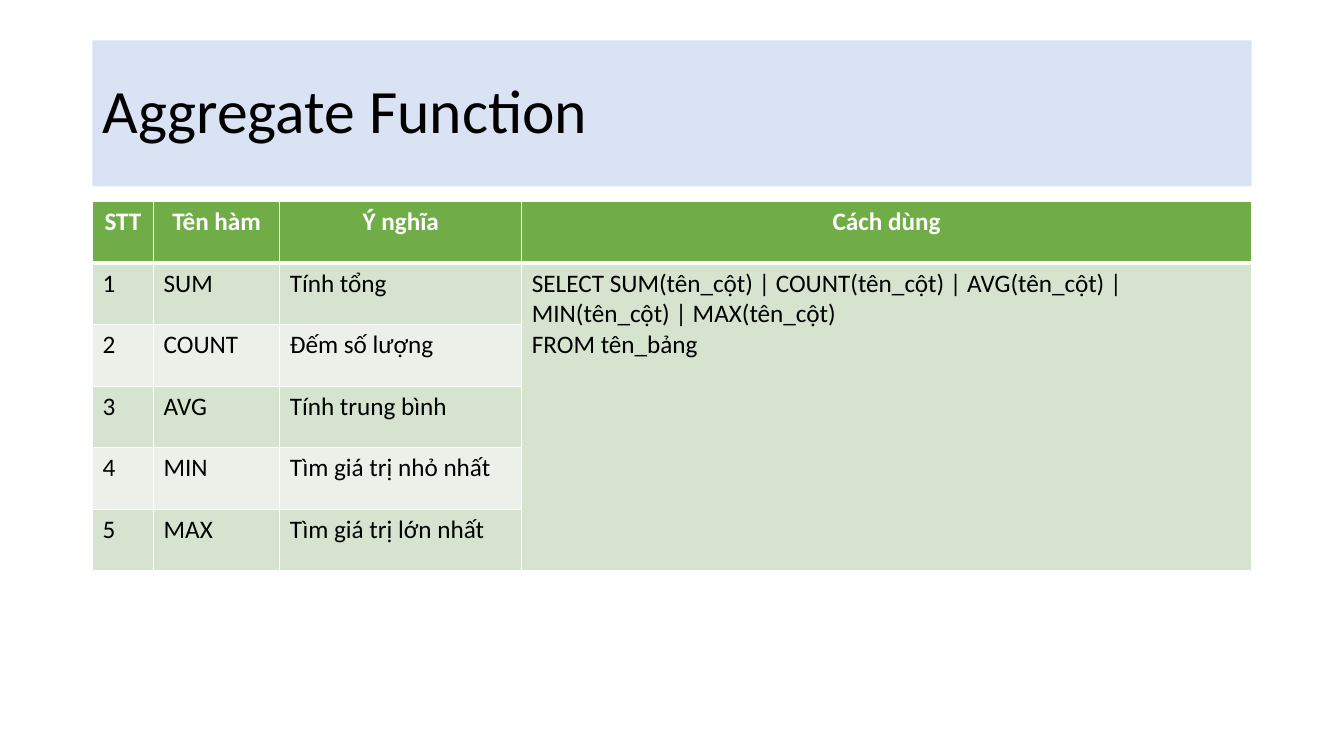
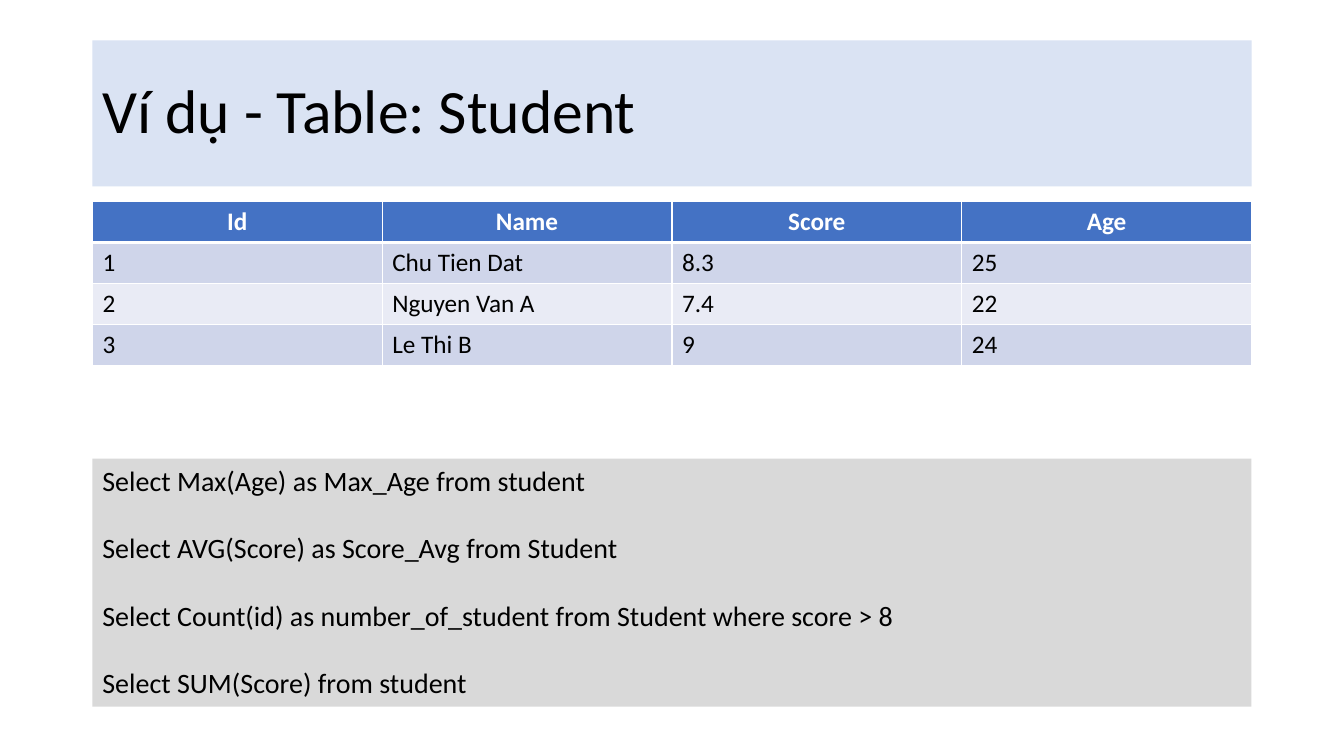
from dataclasses import dataclass

from lxml import etree
from pptx import Presentation
from pptx.dml.color import RGBColor
from pptx.enum import text
from pptx.oxml import ns
from pptx.util import Cm, Pt

FONT = "Calibri"
BLACK = RGBColor(0x00, 0x00, 0x00)
WHITE = RGBColor(0xFF, 0xFF, 0xFF)
TITLE_BAND = RGBColor(0xDA, 0xE3, 0xF3)
CODE_BAND = RGBColor(0xD9, 0xD9, 0xD9)

LEFT, WIDTH = 2.33, 29.21
TITLE_TOP, TITLE_HEIGHT = 1.02, 3.68
TABLE_TOP = 5.08
THIN, THICK = Pt(1), Pt(3)


@dataclass(frozen=True)
class Palette:
    """Fills of a banded table."""
    header: RGBColor
    odd: RGBColor
    even: RGBColor

    def fill(self, row: int) -> RGBColor:
        """Return the fill of a row, the header being row 0."""
        if row == 0:
            return self.header
        return self.odd if row % 2 else self.even


@dataclass(frozen=True)
class Grid:
    """A table: palette, sizes in cm and the text of each row."""
    palette: Palette
    columns: list[float]
    row_height: float
    rows: list[list[str]]


GREEN = Palette(RGBColor(0x70, 0xAD, 0x47), RGBColor(0xD5, 0xE3, 0xCF),
                RGBColor(0xEB, 0xF1, 0xE9))
BLUE = Palette(RGBColor(0x44, 0x72, 0xC4), RGBColor(0xCF, 0xD5, 0xEA),
               RGBColor(0xE9, 0xEB, 0xF5))

USAGE = ("SELECT SUM(tên_cột) | COUNT(tên_cột) | AVG(tên_cột) | "
         "MIN(tên_cột) | MAX(tên_cột)\nFROM tên_bảng")
FUNCTIONS = Grid(GREEN, [1.54, 3.18, 6.1, 18.39], 1.55, [
    ["STT", "Tên hàm", "Ý nghĩa", "Cách dùng"],
    ["1", "SUM", "Tính tổng", USAGE],
    ["2", "COUNT", "Đếm số lượng", ""],
    ["3", "AVG", "Tính trung bình", ""],
    ["4", "MIN", "Tìm giá trị nhỏ nhất", ""],
    ["5", "MAX", "Tìm giá trị lớn nhất", ""],
])
STUDENTS = Grid(BLUE, [WIDTH / 4] * 4, 1.03, [
    ["Id", "Name", "Score", "Age"],
    ["1", "Chu Tien Dat", "8.3", "25"],
    ["2", "Nguyen Van A", "7.4", "22"],
    ["3", "Le Thi B", "9", "24"],
])
QUERIES = [
    "Select Max(Age) as Max_Age from student",
    "Select AVG(Score) as Score_Avg from Student",
    "Select Count(id) as number_of_student from Student where score > 8",
    "Select SUM(Score) from student",
]


def format_text(tf, size: int, color: RGBColor = BLACK, bold: bool = False,
                align=text.PP_ALIGN.LEFT) -> None:
    """Format every paragraph and run of a text frame."""
    for p in tf.paragraphs:
        p.alignment = align
        for r in p.runs:
            r.font.name, r.font.size = FONT, Pt(size)
            r.font.bold, r.font.color.rgb = bold, color


def add_titled_slide(prs, title: str):
    """Add a slide with its title on the shared band."""
    s = prs.slides.add_slide(prs.slide_layouts[5])
    sp = s.shapes.title
    sp.left, sp.top = Cm(LEFT), Cm(TITLE_TOP)
    sp.width, sp.height = Cm(WIDTH), Cm(TITLE_HEIGHT)
    sp.fill.solid()
    sp.fill.fore_color.rgb = TITLE_BAND
    tf = sp.text_frame
    tf.text = title
    tf.vertical_anchor = text.MSO_ANCHOR.MIDDLE
    tf.paragraphs[0].line_spacing = 0.9
    format_text(tf, 44)
    return s


def set_borders(cell, top: int, bottom: int) -> None:
    """Give a cell white borders, thin at its sides."""
    props = cell._tc.get_or_add_tcPr()
    for side, width in zip("LRTB", (THIN, THIN, top, bottom)):
        line = etree.SubElement(props, ns.qn(f"a:ln{side}"), w=str(width))
        fill = etree.SubElement(line, ns.qn("a:solidFill"))
        etree.SubElement(fill, ns.qn("a:srgbClr"), val=str(WHITE))


def add_grid(s, grid: Grid):
    """Draw a banded table under the title and return it."""
    count = len(grid.rows)
    table = s.shapes.add_table(
        count, len(grid.columns), Cm(LEFT), Cm(TABLE_TOP),
        Cm(WIDTH), Cm(grid.row_height * count)).table
    for column, width in zip(table.columns, grid.columns):
        column.width = Cm(width)
    for i, values in enumerate(grid.rows):
        header = i == 0
        table.rows[i].height = Cm(grid.row_height)
        for j, value in enumerate(values):
            cell = table.cell(i, j)
            set_borders(cell, THICK if i == 1 else THIN,
                        THICK if header else THIN)
            cell.fill.solid()
            cell.fill.fore_color.rgb = grid.palette.fill(i)
            cell.text_frame.text = value
            format_text(cell.text_frame, 18, WHITE if header else BLACK, header,
                        text.PP_ALIGN.CENTER if header else text.PP_ALIGN.LEFT)
    return table


def add_queries(s, queries: list[str]) -> None:
    """Draw the grey box of queries, one line apart."""
    sp = s.shapes.add_textbox(Cm(LEFT), Cm(11.56), Cm(WIDTH), Cm(6.25))
    sp.fill.solid()
    sp.fill.fore_color.rgb = CODE_BAND
    tf = sp.text_frame
    tf.word_wrap = True
    tf.text = "\n".join(queries)
    format_text(tf, 20)
    for p in tf.paragraphs[1:]:
        p.space_before = Pt(24)


def main() -> None:
    """Build and save both slides."""
    prs = Presentation()
    prs.slide_width, prs.slide_height = Cm(33.87), Cm(19.05)

    s = add_titled_slide(prs, "Aggregate Function")
    table = add_grid(s, FUNCTIONS)
    table.cell(1, 3).merge(table.cell(5, 3))

    s = add_titled_slide(prs, "Ví dụ - Table: Student")
    add_grid(s, STUDENTS)
    add_queries(s, QUERIES)

    prs.save("out.pptx")


main()
